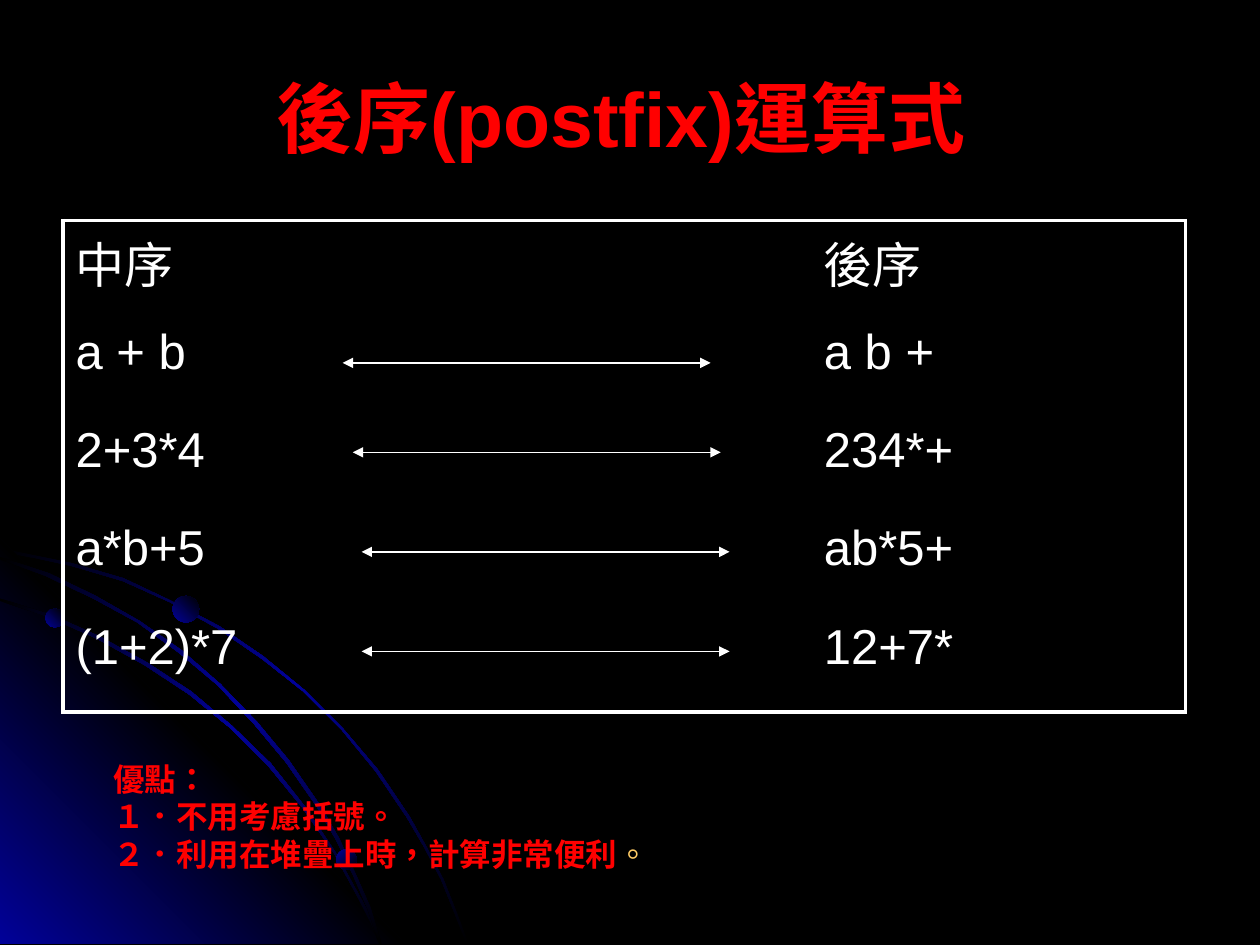
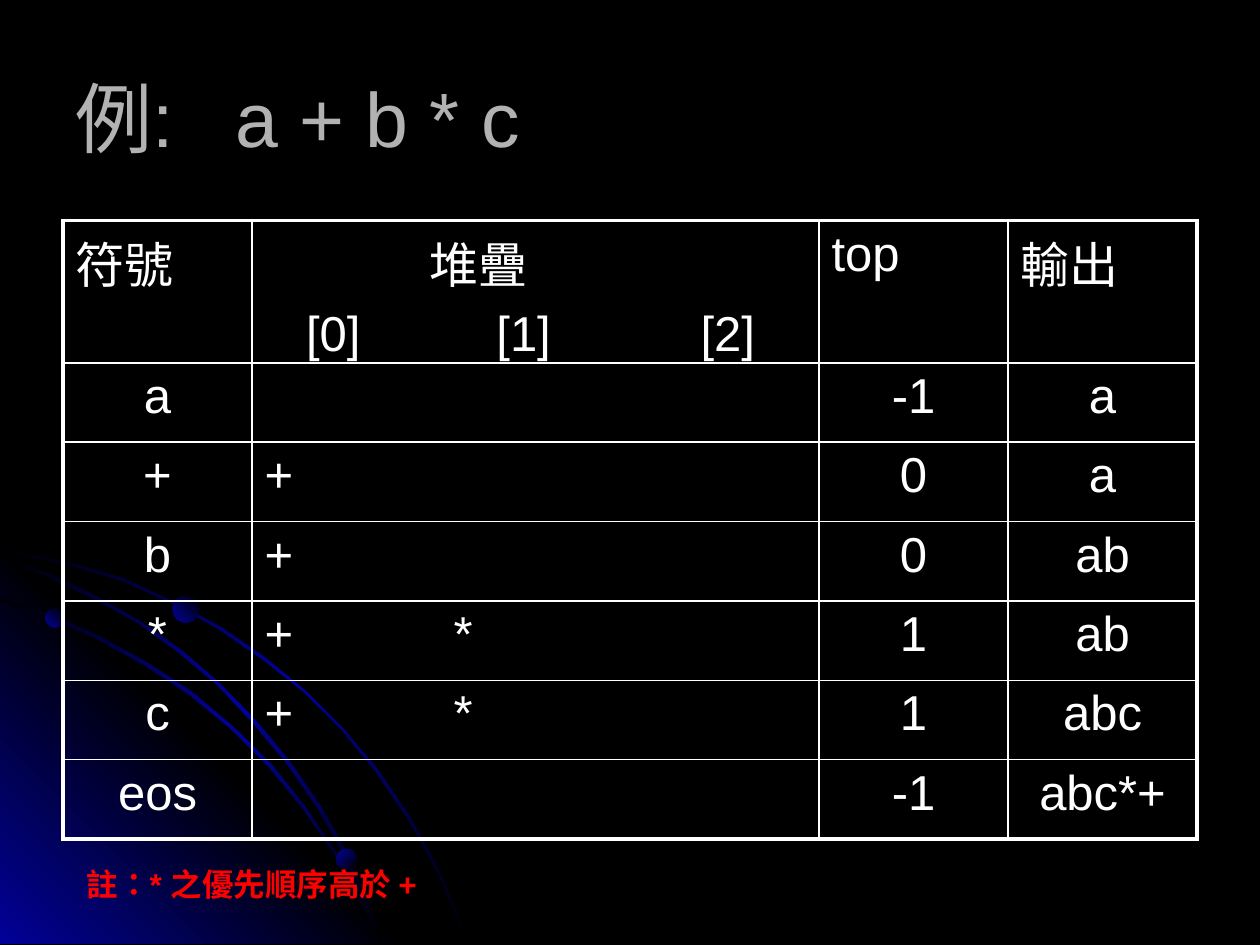
"""Builds two slides on postfix expressions."""
import pptx
import pptx.dml.color
import pptx.enum.lang
import pptx.enum.shapes
import pptx.enum.text
import pptx.oxml
import pptx.oxml.ns
import pptx.util
from lxml import etree

PX = 9144
FONT = "Arial"
BLACK = pptx.dml.color.RGBColor(0x00, 0x00, 0x00)
WHITE = pptx.dml.color.RGBColor(0xFF, 0xFF, 0xFF)
RED = pptx.dml.color.RGBColor(0xFF, 0x00, 0x00)
GRAY = pptx.dml.color.RGBColor(0xB2, 0xB2, 0xB2)
GOLD = pptx.dml.color.RGBColor(0xFF, 0xCC, 0x66)
BLUE = pptx.dml.color.RGBColor(0x01, 0x01, 0x99)
LEFT = pptx.enum.text.PP_ALIGN.LEFT
CENTER = pptx.enum.text.PP_ALIGN.CENTER
TOP = pptx.enum.text.MSO_ANCHOR.TOP
MIDDLE = pptx.enum.text.MSO_ANCHOR.MIDDLE
ZH_TW = pptx.enum.lang.MSO_LANGUAGE_ID.TRADITIONAL_CHINESE
qn = pptx.oxml.ns.qn

OUTER_ARC = [
    (57, 447), (28, 441), (0, 435), (0, 438), (28, 443), (56, 449), (97, 461), (135, 478),
    (173, 499), (208, 523), (241, 549), (271, 579), (298, 612), (323, 649), (337, 673),
    (350, 698), (360, 723), (370, 749), (372, 749), (362, 723), (352, 698), (339, 673),
    (325, 648), (300, 611), (272, 578), (242, 548), (209, 521), (174, 497), (136, 477),
    (98, 459)]
CORNER = [(322, 749), (0, 749), (0, 427)]
INNER_ARC = [
    (285, 714), (294, 732), (301, 749), (303, 749), (296, 730), (286, 712), (266, 676),
    (242, 640), (215, 606), (184, 576), (152, 549), (117, 526), (79, 505), (41, 488),
    (0, 475), (0, 477), (39, 490), (77, 507), (115, 528), (150, 551), (183, 578),
    (213, 608), (240, 641), (265, 677)]
MIDDLE_ARC = [
    (0, 442), (0, 444), (36, 457), (74, 475), (109, 494), (142, 518), (173, 544), (202, 575),
    (227, 605), (252, 641), (267, 667), (280, 694), (292, 722), (301, 749), (303, 749),
    (294, 720), (282, 693), (269, 665), (254, 639), (229, 603), (204, 573), (175, 543),
    (144, 516), (111, 493), (76, 473), (39, 455)]
GLOW = (BLACK, BLUE, BLACK)
SWEEPS = [(OUTER_ARC, GLOW, 45), (CORNER, (BLUE, BLACK, BLUE), 315),
          (INNER_ARC, GLOW, 45), (MIDDLE_ARC, GLOW, 45)]
DOTS = [(36, 483, 15, 315), (267, 674, 16, 45), (137, 473, 21, 315)]


def write(tf, text, size=28, color=WHITE, bold=False, align=LEFT, before=0, tabs=(), end=""):
    """Fill a text frame, one paragraph per line; end is a plain gold closing run."""
    lines = text.split("\n")
    for i, line in enumerate(lines):
        p = tf.paragraphs[0] if i == 0 else tf.add_paragraph()
        p.alignment = align
        pPr = p._p.get_or_add_pPr()
        if before:
            spc = etree.SubElement(pPr, qn("a:spcBef"))
            etree.SubElement(spc, qn("a:spcPct"), val=str(before * 1000))
        if tabs:
            stops = etree.SubElement(pPr, qn("a:tabLst"))
            for x in tabs[i]:
                etree.SubElement(stops, qn("a:tab"), pos=str(x * PX), algn="l")
        runs = [(line, color, bold)]
        if end and i == len(lines) - 1:
            runs.append((end, GOLD, False))
        for part, rgb, heavy in runs:
            r = p.add_run()
            r.text = part
            r.font.name, r.font.size, r.font.bold = FONT, pptx.util.Pt(size), heavy
            r.font.color.rgb = rgb
            r.font.language_id = ZH_TW


class Deck:
    """Holds the presentation style and the current slide."""

    def __init__(self):
        """Start an empty 4:3 presentation."""
        self.prs = pptx.Presentation()
        self.prs.slide_width, self.prs.slide_height = 1000 * PX, 750 * PX
        self.s = None

    def slide(self, title, **fmt):
        """Add a slide with the shared backdrop and a title."""
        self.s = self.prs.slides.add_slide(self.prs.slide_layouts[6])
        self.s.background.fill.solid()
        self.s.background.fill.fore_color.rgb = BLACK
        for points, colors, angle in SWEEPS:
            fb = self.s.shapes.build_freeform(*points[0], scale=PX)
            fb.add_line_segments(points[1:], close=True)
            self.gradient(fb.convert_to_shape(), colors, angle)
        for x, y, d, angle in DOTS:
            sp = self.s.shapes.add_shape(
                pptx.enum.shapes.MSO_SHAPE.OVAL, x * PX, y * PX, d * PX, d * PX)
            self.gradient(sp, (BLUE, BLACK), angle)
        self.text(50, 30, 900, 125, title, anchor=MIDDLE, size=44, **fmt)

    def gradient(self, sp, colors, angle):
        """Fill a shape with evenly spaced colours at a clockwise angle."""
        sp.shadow.inherit = False
        sp.line.fill.background()
        sp.fill.gradient()
        sp.fill.gradient_angle = 360 - angle
        stops = sp._element.spPr.find(".//" + qn("a:gsLst"))
        del stops[:]
        for i, rgb in enumerate(colors):
            gs = etree.SubElement(stops, qn("a:gs"), pos=str(100000 * i // (len(colors) - 1)))
            etree.SubElement(gs, qn("a:srgbClr"), val=str(rgb))

    def text(self, x, y, w, h, text, anchor=TOP, **fmt):
        """Add a wrapping text box."""
        tf = self.s.shapes.add_textbox(x * PX, y * PX, w * PX, h * PX).text_frame
        tf.word_wrap = True
        tf.vertical_anchor = anchor
        write(tf, text, **fmt)

    def arrow(self, x, y, w):
        """Add a horizontal line with a head at both ends."""
        c = self.s.shapes.add_connector(
            pptx.enum.shapes.MSO_CONNECTOR.STRAIGHT, x * PX, y * PX, (x + w) * PX, y * PX)
        c.line.color.rgb = WHITE
        c.line.width = pptx.util.Pt(0.75)
        ln = c.line._get_or_add_ln()
        for tag in ("a:headEnd", "a:tailEnd"):
            etree.SubElement(ln, qn(tag), type="triangle")
        etree.SubElement(c._element.spPr, qn("a:effectLst"))

    def table(self, x, y, col_w, heights, rows, inner=0, open_cols=(), centered=()):
        """Add a framed table; open_cols have no line on their right side."""
        n_rows, n_cols = len(rows), len(rows[0])
        tbl = self.s.shapes.add_table(
            n_rows, n_cols, x * PX, y * PX, col_w * n_cols * PX, sum(heights) * PX).table
        tbl.first_row = tbl.horz_banding = False
        for col in tbl.columns:
            col.width = col_w * PX
        for i, row in enumerate(rows):
            tbl.rows[i].height = heights[i] * PX
            for j, text in enumerate(row):
                cell = tbl.cell(i, j)
                left = 0 if j - 1 in open_cols else inner
                right = 0 if j in open_cols else inner
                self.borders(cell, lnL=2.25 if j == 0 else left,
                             lnR=2.25 if j == n_cols - 1 else right,
                             lnT=2.25 if i == 0 else inner,
                             lnB=2.25 if i == n_rows - 1 else inner)
                cell.fill.background()
                if text:
                    align = CENTER if i and j in centered else LEFT
                    write(cell.text_frame, text, align=align, before=20)
        return tbl

    def borders(self, cell, **widths):
        """Draw white cell borders of the given point widths, none for zero."""
        tcPr = cell._tc.get_or_add_tcPr()
        for side, width in widths.items():
            ln = etree.SubElement(tcPr, qn("a:" + side), w=str(pptx.util.Pt(width)))
            if width:
                fill = etree.SubElement(ln, qn("a:solidFill"))
                etree.SubElement(fill, qn("a:srgbClr"), val=str(WHITE))
            else:
                etree.SubElement(ln, qn("a:noFill"))


def notation_slide(deck):
    """Compare infix with postfix."""
    deck.slide("後序(postfix)運算式 ", color=RED, bold=True, align=CENTER)
    pairs = [("中序", "後序"), ("a + b", "a b +"), ("2+3*4", "234*+"),
             ("a*b+5", "ab*5+"), ("(1+2)*7", "12+7*")]
    deck.table(50, 175, 297, [78] * 5, [(infix, "", postfix) for infix, postfix in pairs])
    for x, y in [(272, 288), (280, 359), (287, 438), (287, 517)]:
        deck.arrow(x, y, 292)
    deck.text(80, 598, 450, 100, "優點：\n１．不用考慮括號。\n２．利用在堆疊上時，計算非常便利",
              size=18, color=RED, bold=True, end="。")


def stack_slide(deck):
    """Trace the stack for one expression."""
    deck.slide("例:\ta + b * c", color=GRAY, tabs=[(127,)])
    steps = [("符號", "", "", "", "top", "輸出"),
             ("a", "", "", "", "-1", "a"),
             ("+", "+", "", "", "0", "a"),
             ("b", "+", "", "", "0", "ab"),
             ("*", "+", "*", "", "1", "ab"),
             ("c", "+", "*", "", "1", "abc"),
             ("eos", "", "", "", "-1", "abc*+")]
    tbl = deck.table(50, 175, 150, [113] + [63] * 6, steps, inner=1,
                     open_cols=(1, 2), centered=(0, 4, 5))
    stack = tbl.cell(0, 1)
    stack.merge(tbl.cell(0, 3))
    write(stack.text_frame, "\t堆疊\n\t[0]\t[1]\t[2]", before=20,
          tabs=[(131,), (33, 184, 346)])
    deck.text(59, 682, 286, 40, "註：* 之優先順序高於 +", size=18, color=RED, bold=True)


def main():
    """Build and save the slides."""
    deck = Deck()
    notation_slide(deck)
    stack_slide(deck)
    deck.prs.save("out.pptx")


if __name__ == "__main__":
    main()
